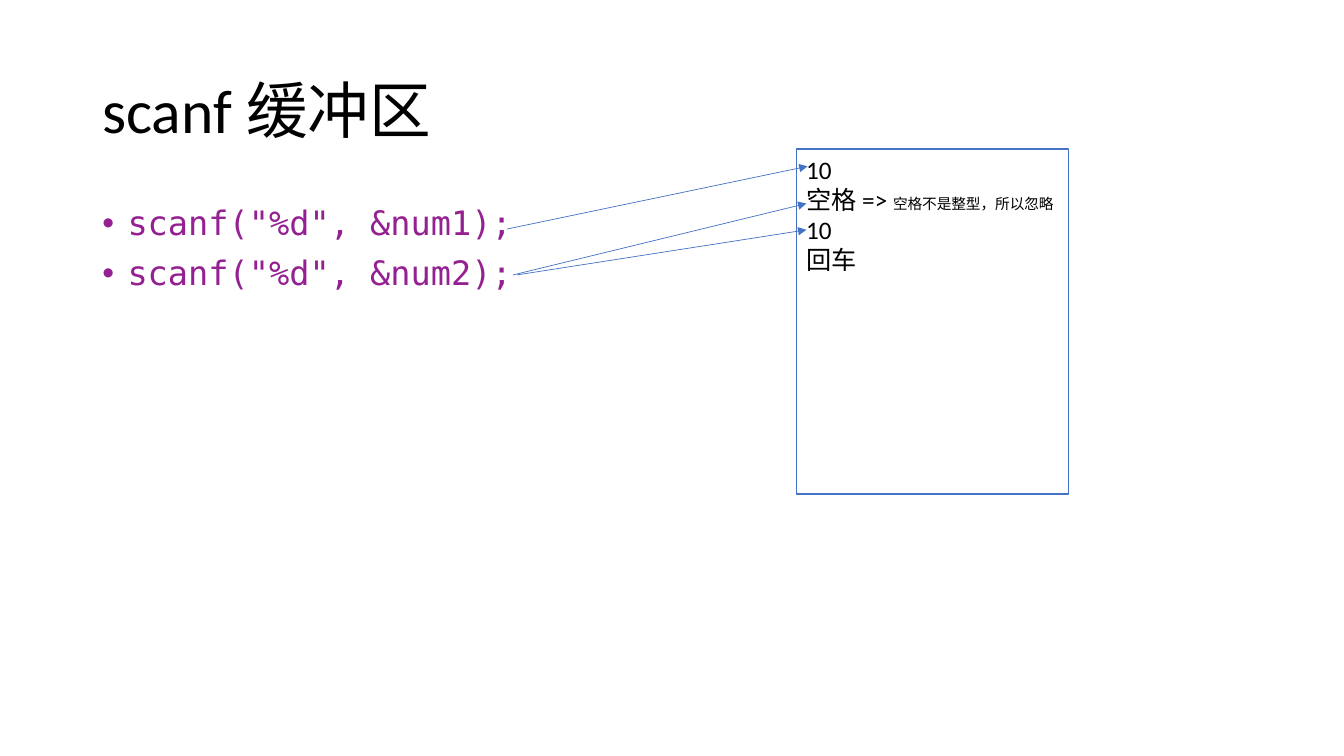
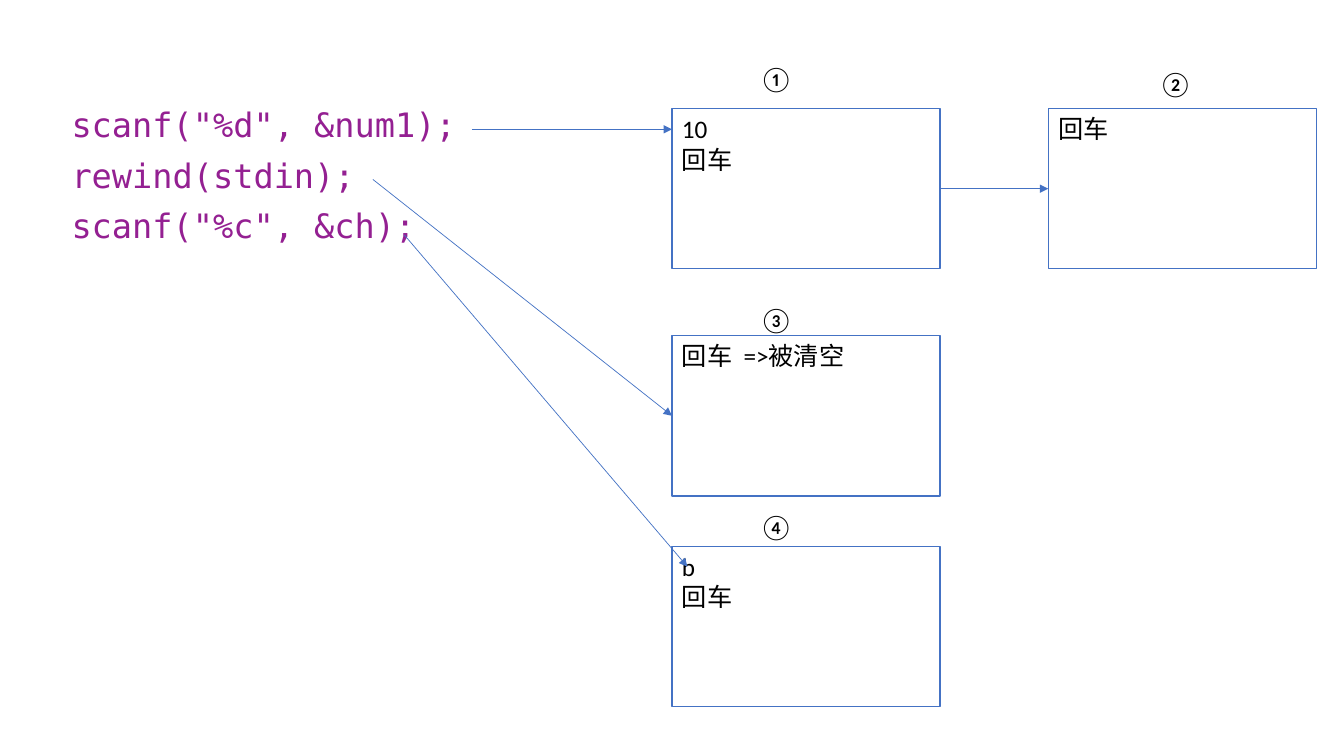
"""Build two slides that explain the scanf input buffer."""
from lxml.etree import SubElement
from pptx import Presentation
from pptx.dml.color import RGBColor
from pptx.enum.shapes import MSO_CONNECTOR as Connector, MSO_SHAPE as Preset
from pptx.enum.text import MSO_ANCHOR as Anchor, PP_ALIGN as Align
from pptx.oxml.ns import qn
from pptx.util import Pt

BLACK, WHITE, BLUE, PURPLE = "000000", "FFFFFF", "4472C4", "942092"
TEXT_FONT, CODE_FONT = "Calibri", "DejaVu Sans Mono"
hex_color = RGBColor.from_string


def write_text(shape, text, size=18, font=TEXT_FONT, color=BLACK, anchor=Anchor.TOP,
               line_spacing=1.0, space_before=0, bullet=None):
    frame = shape.text_frame
    frame.word_wrap = True
    frame.vertical_anchor = anchor
    frame.text = text
    for paragraph in frame.paragraphs:
        paragraph.alignment = Align.LEFT
        paragraph.line_spacing = line_spacing
        paragraph.space_before = Pt(space_before)
        for run in paragraph.runs:
            run.font.size = Pt(size)
            run.font.name = font
            run.font.color.rgb = hex_color(color)
        if bullet:
            properties = paragraph._p.get_or_add_pPr()
            properties.set("marL", str(Pt(18)))
            properties.set("indent", str(-Pt(18)))
            SubElement(properties, qn("a:buFont"), typeface="Arial")
            SubElement(properties, qn("a:buChar"), char=bullet)


def add_arrow(slide, *ends):
    arrow = slide.shapes.add_connector(Connector.STRAIGHT, *map(Pt, ends))
    arrow.line.color.rgb = hex_color(BLUE)
    arrow.line.width = Pt(0.5)
    SubElement(arrow.line._get_or_add_ln(), qn("a:tailEnd"), type="triangle")
    SubElement(arrow._element.spPr, qn("a:effectLst"))


presentation = Presentation()
presentation.slide_width, presentation.slide_height = Pt(960), Pt(540)
blank = presentation.slide_layouts[6]
buffer_slide = presentation.slides.add_slide(blank)
rewind_slide = presentation.slides.add_slide(blank)

title = buffer_slide.shapes.add_textbox(Pt(66), Pt(28.75), Pt(828), Pt(104.4))
write_text(title, "scanf 缓冲区", size=44, anchor=Anchor.MIDDLE, line_spacing=0.9)

code_blocks = [
    (buffer_slide, 66, 144, "•", 'scanf("%d", &num1);\nscanf("%d", &num2);'),
    (rewind_slide, 44, 74.2, None, 'scanf("%d", &num1);\nrewind(stdin);\nscanf("%c", &ch);'),
]
for slide, left, top, bullet, code in code_blocks:
    code_box = slide.shapes.add_textbox(Pt(left), Pt(top), Pt(408), Pt(342.6))
    write_text(code_box, code, size=24, font=CODE_FONT, color=PURPLE,
               line_spacing=0.9, space_before=10, bullet=bullet)

step_left, next_left, step_width, step_height = 480, 748.8, 191.6, 114.4
step_tops = [77.6, 239.8, 390.3]
buffers = [
    (buffer_slide, 568.8, 106.5, 194.4, 246.4, "10\n空格 => \n10\n回车"),
    (rewind_slide, step_left, step_tops[0], step_width, step_height, "10\n回车"),
    (rewind_slide, step_left, step_tops[1], step_width, step_height, "回车  =>被清空"),
    (rewind_slide, step_left, step_tops[2], step_width, step_height, "b\n回车"),
    (rewind_slide, next_left, step_tops[0], step_width, step_height, "回车"),
]
for slide, left, top, width, height, text in buffers:
    box = slide.shapes.add_shape(Preset.RECTANGLE, Pt(left), Pt(top), Pt(width), Pt(height))
    box.shadow.inherit = False
    box.fill.solid()
    box.fill.fore_color.rgb = hex_color(WHITE)
    box.line.color.rgb = hex_color(BLUE)
    box.line.width = Pt(1)
    write_text(box, text)
    if slide is buffer_slide:
        note = box.text_frame.paragraphs[1].add_run()
        note.text = "空格不是整型，所以忽略"
        note.font.size = Pt(10.5)
        note.font.name = TEXT_FONT
        note.font.color.rgb = hex_color(BLACK)

step_numbers = [("①", 535.6, 41.6), ("②", 820.8, 45.4), ("③", 535.6, 213.8), ("④", 535.6, 362)]
for number, left, top in step_numbers:
    label = rewind_slide.shapes.add_textbox(Pt(left), Pt(top), Pt(33), Pt(29))
    write_text(label, number)

arrows = [
    (buffer_slide, 362.2, 163.6, 576.8, 118.8),
    (buffer_slide, 366.4, 196.4, 576, 145.4),
    (buffer_slide, 369.2, 196.4, 576, 164.2),
    (rewind_slide, 337, 92.4, step_left, 92.4),
    (rewind_slide, 266.4, 128.2, step_left, step_tops[1] + step_height / 2),
    (rewind_slide, step_left + step_width, step_tops[0] + step_height / 2,
     next_left, step_tops[0] + step_height / 2),
    (rewind_slide, 288.8, 167.8, 491, 404.8),
]
for slide, *ends in arrows:
    add_arrow(slide, *ends)

presentation.save("out.pptx")
